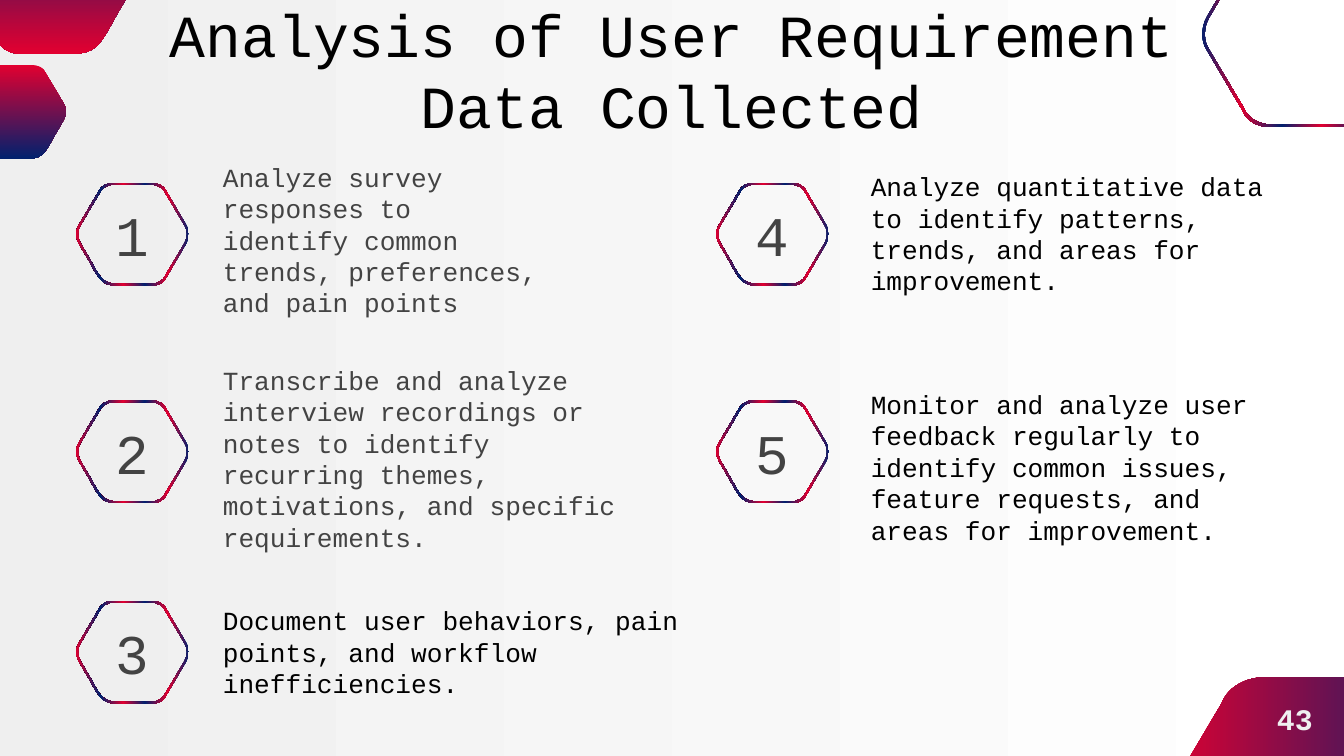
from dataclasses import dataclass

from lxml.etree import SubElement
from pptx import Presentation
from pptx.dml.color import RGBColor
from pptx.enum.text import MSO_ANCHOR as Anchor, MSO_AUTO_SIZE as AutoSize, PP_ALIGN as Align
from pptx.oxml.ns import qn
from pptx.util import Pt


@dataclass(frozen=True)
class Theme:
    font: str = "Courier New"
    black: str = "000000"
    gray: str = "434343"
    pale: str = "EFEFEF"
    white: str = "FFFFFF"
    red: str = "E20030"
    navy: str = "00216E"
    title_size: float = 32
    number_size: float = 30
    body_size: float = 14
    page_size: float = 16
    inset: float = 7.2


@dataclass(frozen=True)
class Area:
    left: float
    top: float
    width: float
    height: float

    def shrink(self, by: float) -> "Area":
        return Area(self.left + by, self.top + by, self.width - 2 * by, self.height - 2 * by)


@dataclass(frozen=True)
class Hexagon:
    area: Area
    stops: list
    angle: int
    mirrored: bool = False
    rim: float = 0  # 0 means solid
    rotation: int = 0


@dataclass(frozen=True)
class Step:
    number: str
    badge_left: float
    badge_top: float
    text_area: Area
    color: str
    text: str


THEME = Theme()
STRIPES = [(at, THEME.red if i % 2 else THEME.navy)
           for i, at in enumerate((0, 19, 39, 58, 78, 100))]
RED_TO_NAVY = [(0, THEME.red), (100, THEME.navy)]
NAVY_TO_RED = [(0, THEME.navy), (100, THEME.red)]

# Rounded corners of a unit hexagon as Bezier curves, from the top left anticlockwise
CORNERS = [
    ((0.33, 0), (0.28, 0), (0.22, 0.03), (0.2, 0.09)),
    ((0.03, 0.41), (0, 0.46), (0, 0.53), (0.03, 0.59)),
    ((0.13, 0.78), (0.22, 0.97), (0.25, 1), (0.39, 1)),
    ((0.67, 1), (0.72, 1), (0.78, 0.97), (0.8, 0.91)),
    ((0.97, 0.59), (1, 0.53), (1, 0.46), (0.97, 0.41)),
    ((0.8, 0.09), (0.78, 0.03), (0.72, 0), (0.67, 0)),
]

BADGE_WIDTH, BADGE_HEIGHT, NUMBER_SIDE = 61.2, 55.2, 38.9
LEFT_COLUMN, RIGHT_COLUMN = 40.4, 383.3
ROWS = (97.9, 214.5, 321.8)
LEFT_TEXT, RIGHT_TEXT = 112.3, 459.4

STEPS = [
    Step("1", LEFT_COLUMN, ROWS[0], Area(LEFT_TEXT, 79.2, 186.5, 92.2), THEME.gray,
         "Analyze survey responses to identify common trends, preferences, and pain points"),
    Step("2", LEFT_COLUMN, ROWS[1], Area(LEFT_TEXT, 187.9, 235.4, 79.2), THEME.gray,
         "Transcribe and analyze interview recordings or notes to identify recurring themes, "
         "motivations, and specific requirements."),
    Step("3", LEFT_COLUMN, ROWS[2], Area(LEFT_TEXT, 316.8, 275.8, 65.5), THEME.black,
         "Document user behaviors, pain points, and workflow inefficiencies."),
    Step("4", RIGHT_COLUMN, ROWS[0], Area(RIGHT_TEXT, 84.2, 236.2, 99.4), THEME.black,
         "Analyze quantitative data to identify patterns, trends, and areas for improvement."),
    Step("5", RIGHT_COLUMN, ROWS[1], Area(RIGHT_TEXT, 200.9, 236.2, 99.4), THEME.black,
         "Monitor and analyze user feedback regularly to identify common issues, "
         "feature requests, and areas for improvement."),
]

DECORATIONS = [
    Hexagon(Area(619.9, 362.9, 172.8, 154.8), RED_TO_NAVY, 0),
    Hexagon(Area(-20.2, 34.8, 56, 50.2), RED_TO_NAVY, 90, mirrored=True),
    Hexagon(Area(-20.2, -55.4, 93.6, 84.2), NAVY_TO_RED, 90, mirrored=True),
    Hexagon(Area(643.2, -32.2, 111.6, 100.3), STRIPES, 180, rim=1.4, rotation=180),
]


def paint_gradient(fill, holder, stops: list, angle: int) -> None:
    """Give the fill any number of colour stops; the angle runs clockwise."""
    fill.gradient()
    gradient = next(holder.iter(qn("a:gradFill")))
    stop_list = gradient.find(qn("a:gsLst"))
    for old_stop in list(stop_list):
        stop_list.remove(old_stop)
    for position, color in stops:
        stop = SubElement(stop_list, qn("a:gs"), pos=str(position * 1000))
        SubElement(stop, qn("a:srgbClr"), val=color)
    gradient.find(qn("a:lin")).set("ang", str(angle * 60000))


def outline(area: Area, mirrored: bool) -> list:
    """Scale the corner points to the area, four to a corner."""
    return [(Pt(area.left + (1 - x if mirrored else x) * area.width),
             Pt(area.top + y * area.height))
            for corner in CORNERS for x, y in corner]


def round_corners(shape) -> None:
    """Merge the three segments of each corner into one Bezier curve."""
    segments = list(shape.element.iter(qn("a:lnTo")))
    per_contour = 4 * len(CORNERS) - 1
    for start in range(0, len(segments), per_contour):
        contour = segments[start:start + per_contour]
        for first in range(0, per_contour, 4):
            curve, *others = contour[first:first + 3]
            for other in others:
                curve.append(other[0])
                other.getparent().remove(other)
            curve.tag = qn("a:cubicBezTo")


def draw_hexagon(slide, hexagon: Hexagon) -> None:
    contours = [outline(hexagon.area, hexagon.mirrored)]
    if hexagon.rim:
        contours.append(outline(hexagon.area.shrink(hexagon.rim), hexagon.mirrored)[::-1])
    builder = slide.shapes.build_freeform(*contours[0][0])
    builder.add_line_segments(contours[0][1:])
    for inner in contours[1:]:
        builder.move_to(*inner[0])
        builder.add_line_segments(inner[1:])
    shape = builder.convert_to_shape()
    round_corners(shape)
    shape.shadow.inherit = False
    paint_gradient(shape.fill, shape.element.spPr, hexagon.stops, hexagon.angle)
    shape.line.fill.background()
    shape.rotation = hexagon.rotation


def write(box, text: str, size: float, color: str, align=Align.LEFT,
          anchor=Anchor.TOP, bold: bool = False) -> None:
    frame = box.text_frame
    frame.word_wrap = True
    frame.auto_size = AutoSize.NONE
    frame.vertical_anchor = anchor
    frame.margin_left = frame.margin_right = Pt(THEME.inset)
    frame.margin_top = frame.margin_bottom = Pt(THEME.inset)
    para = frame.paragraphs[0]
    para.alignment = align
    span = para.add_run()
    span.text = text
    span.font.name = THEME.font
    span.font.size = Pt(size)
    span.font.bold = bold
    span.font.color.rgb = RGBColor.from_string(color)


def add_box(slide, area: Area):
    return slide.shapes.add_textbox(Pt(area.left), Pt(area.top), Pt(area.width), Pt(area.height))


def draw_step(slide, step: Step) -> None:
    badge = Area(step.badge_left, step.badge_top, BADGE_WIDTH, BADGE_HEIGHT)
    draw_hexagon(slide, Hexagon(badge, STRIPES, 180, rim=1))
    number_area = Area(badge.left + (BADGE_WIDTH - NUMBER_SIDE) / 2,
                       badge.top + (BADGE_HEIGHT - NUMBER_SIDE) / 2, NUMBER_SIDE, NUMBER_SIDE)
    write(add_box(slide, number_area), step.number, THEME.number_size, THEME.gray,
          Align.CENTER, Anchor.MIDDLE)
    write(add_box(slide, step.text_area), step.text, THEME.body_size, step.color)


def main() -> None:
    deck = Presentation()
    deck.slide_width, deck.slide_height = Pt(720), Pt(405)
    page = deck.slides.add_slide(deck.slide_layouts[5])

    # Background and corner hexagons
    paint_gradient(page.background.fill, page.element,
                   [(0, THEME.white), (100, THEME.pale)], 180)
    for hexagon in DECORATIONS:
        draw_hexagon(page, hexagon)

    # Title
    title = page.shapes.title
    title.left, title.top, title.width, title.height = Pt(56.2), Pt(15.8), Pt(607.7), Pt(42.5)
    write(title, "Analysis of User Requirement Data Collected", THEME.title_size, THEME.black,
          Align.CENTER, Anchor.MIDDLE)

    # Numbered steps
    for step in STEPS:
        draw_step(page, step)

    # Page number
    write(add_box(page, Area(667.4, 362.9, 52.6, 44.6)), "43", THEME.page_size, THEME.pale,
          Align.CENTER, Anchor.MIDDLE, bold=True)

    deck.save("out.pptx")


if __name__ == "__main__":
    main()
